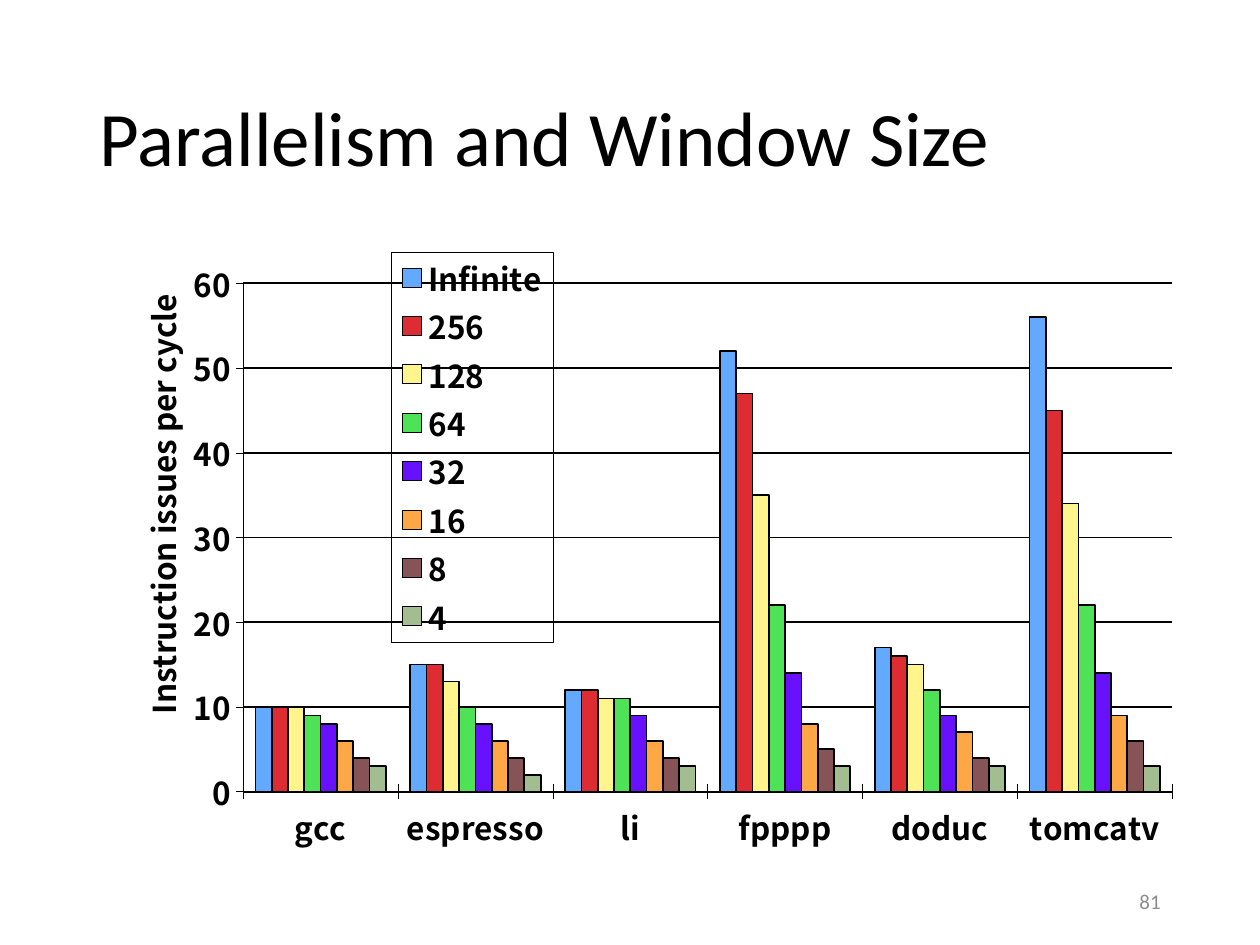
import pptx
import pptx.chart.data
import pptx.dml.color
import pptx.enum.chart
import pptx.enum.text
import pptx.oxml
import pptx.oxml.ns
import pptx.util

RGB = pptx.dml.color.RGBColor
BLACK = RGB(0, 0, 0)
GREY = RGB(0x8C, 0x8C, 0x8C)
FACE = "Noto Sans CJK SC"
WIDE, HIGH = 10, 7.5

NAMES = ["gcc", "espresso", "li", "fpppp", "doduc", "tomcatv"]
# Window size, issues per cycle for each program, bar colour
SIZES = [
    ("Infinite", (10, 15, 12, 52, 17, 56), RGB(0x63, 0xAA, 0xFE)),
    ("256", (10, 15, 12, 47, 16, 45), RGB(0xDD, 0x2D, 0x32)),
    ("128", (10, 13, 11, 35, 15, 34), RGB(0xFF, 0xF5, 0x8C)),
    ("64", (9, 10, 11, 22, 12, 22), RGB(0x4E, 0xE2, 0x57)),
    ("32", (8, 8, 9, 14, 9, 14), RGB(0x67, 0x11, 0xFF)),
    ("16", (6, 6, 6, 8, 7, 9), RGB(0xFE, 0xA7, 0x46)),
    ("8", (4, 4, 4, 5, 4, 6), RGB(0x86, 0x53, 0x57)),
    ("4", (3, 2, 3, 3, 3, 3), RGB(0xA2, 0xBD, 0x90)),
]


def place(box):
    return [pptx.util.Inches(n) for n in box]


def style(font, size, color=BLACK, name=FACE, bold=True):
    font.size, font.name, font.bold = pptx.util.Pt(size), name, bold
    font.color.rgb = color


def stroke(line, width):
    line.color.rgb = BLACK
    line.width = pptx.util.Pt(width)


def label(slide, box, text, size, color, align, space=1.0):
    frame = slide.shapes.add_textbox(*place(box)).text_frame
    frame.word_wrap = True
    frame.vertical_anchor = pptx.enum.text.MSO_ANCHOR.MIDDLE
    frame.text = text
    para = frame.paragraphs[0]
    para.alignment = align
    para.line_spacing = space
    style(para.runs[0].font, size, color, "Calibri", False)


def layout(parent, before, inner=False, **shares):
    """Give a chart part a fixed place, in shares of the chart."""
    for old in parent.findall(pptx.oxml.ns.qn("c:layout")):
        parent.remove(old)
    marks = '<c:layoutTarget val="inner"/>' if inner else ""
    marks += "".join(f'<c:{k}Mode val="edge"/>' for k in "xy")
    marks += "".join(f'<c:{k} val="{v}"/>' for k, v in shares.items())
    node = pptx.oxml.parse_xml(
        f'<c:layout {pptx.oxml.ns.nsdecls("c")}>'
        f"<c:manualLayout>{marks}</c:manualLayout></c:layout>")
    spot = parent.find(pptx.oxml.ns.qn(before)) if before else parent[0]
    spot.addprevious(node)


def axes(chart):
    tick = pptx.enum.chart.XL_TICK_MARK
    for axis in (chart.category_axis, chart.value_axis):
        axis.major_tick_mark = tick.CROSS
        axis.minor_tick_mark = tick.NONE
        stroke(axis.format.line, 0.25)
        style(axis.tick_labels.font, 18)
    axis = chart.value_axis
    axis.minimum_scale, axis.maximum_scale, axis.major_unit = 0, 60, 10
    stroke(axis.major_gridlines.format.line, 1)
    # Axis title, clear of the tick numbers
    title = axis.axis_title
    title.text_frame.text = "Instruction issues per cycle"
    style(title.text_frame.paragraphs[0].runs[0].font, 18)
    layout(title._element, "c:overlay", x=0.04, y=0.06)


def key(chart):
    chart.has_legend = True
    legend = chart.legend
    legend.position = pptx.enum.chart.XL_LEGEND_POSITION.RIGHT
    legend.include_in_layout = False
    style(legend.font, 18)
    node = legend._element
    layout(node, "c:overlay", x=0.28, y=0, w=0.15, h=0.65)
    frame = pptx.oxml.parse_xml(
        f'<c:spPr {pptx.oxml.ns.nsdecls("c", "a")}><a:noFill/>'
        '<a:ln w="3175"><a:solidFill><a:srgbClr val="000000"/>'
        "</a:solidFill></a:ln></c:spPr>")
    node.find(pptx.oxml.ns.qn("c:overlay")).addnext(frame)


def bars(slide, box):
    data = pptx.chart.data.CategoryChartData()
    data.categories = NAMES
    for name, vals, _ in SIZES:
        data.add_series(name, vals)
    kind = pptx.enum.chart.XL_CHART_TYPE.COLUMN_CLUSTERED
    chart = slide.shapes.add_chart(kind, *place(box), data).chart
    chart.has_title = False
    style(chart.font, 18)
    plot = chart.plots[0]
    plot.gap_width, plot.overlap = 150, 0
    plot.vary_by_categories = False
    for series, (_, _, color) in zip(plot.series, SIZES):
        series.invert_if_negative = False
        series.format.fill.solid()
        series.format.fill.fore_color.rgb = color
        stroke(series.format.line, 1)
    axes(chart)
    key(chart)
    area = chart._chartSpace.chart.plotArea
    layout(area, None, True, x=0.147, y=0.052, w=0.856, h=0.848)


def main():
    deck = pptx.Presentation()
    deck.slide_width, deck.slide_height = place((WIDE, HIGH))
    slide = deck.slides.add_slide(deck.slide_layouts[6])
    side = 0.69
    span = WIDE - 2 * side
    align = pptx.enum.text.PP_ALIGN
    # Title, chart and page number share the side margins
    label(slide, (side, 0.4, span, 1.45), "Parallelism and Window Size",
          44, BLACK, align.LEFT, 0.9)
    bars(slide, (side, 2, span, 4.76))
    label(slide, (WIDE - side - 2.25, 6.95, 2.25, 0.4), "81",
          12, GREY, align.RIGHT)
    deck.save("out.pptx")


if __name__ == "__main__":
    main()
